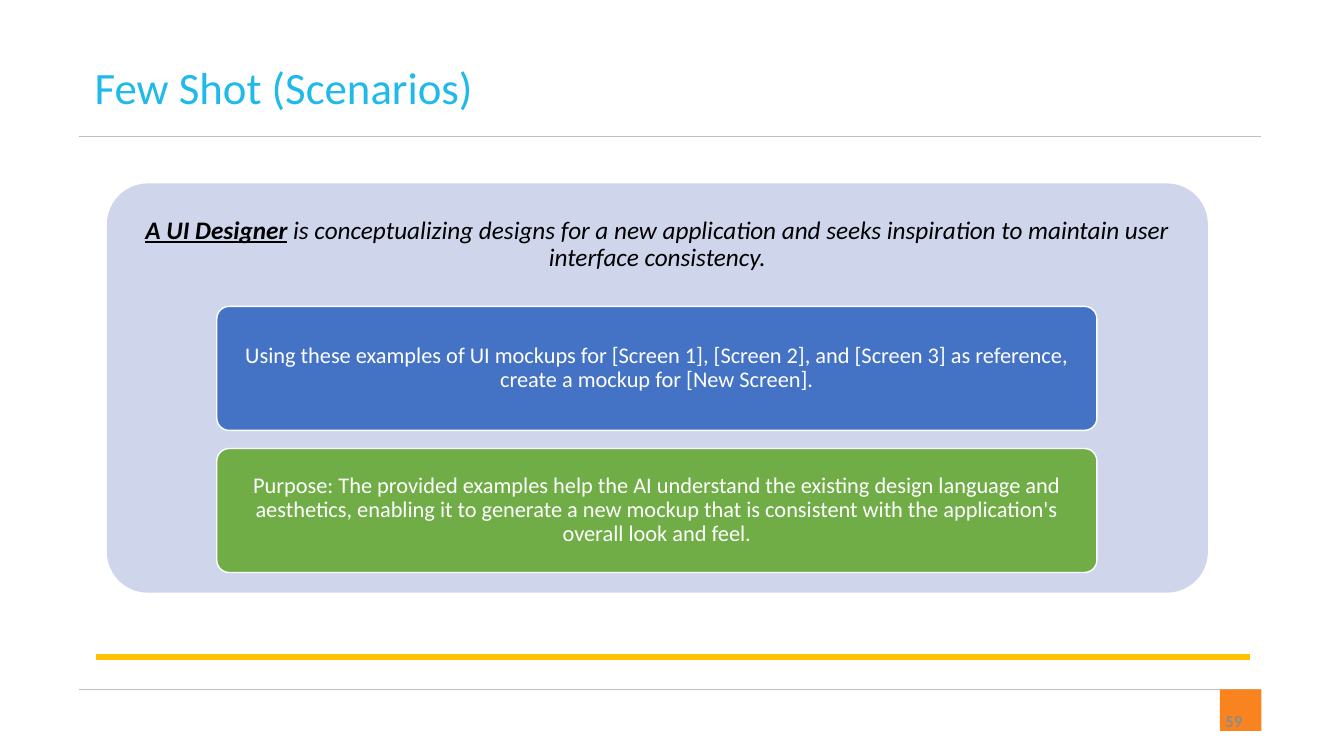
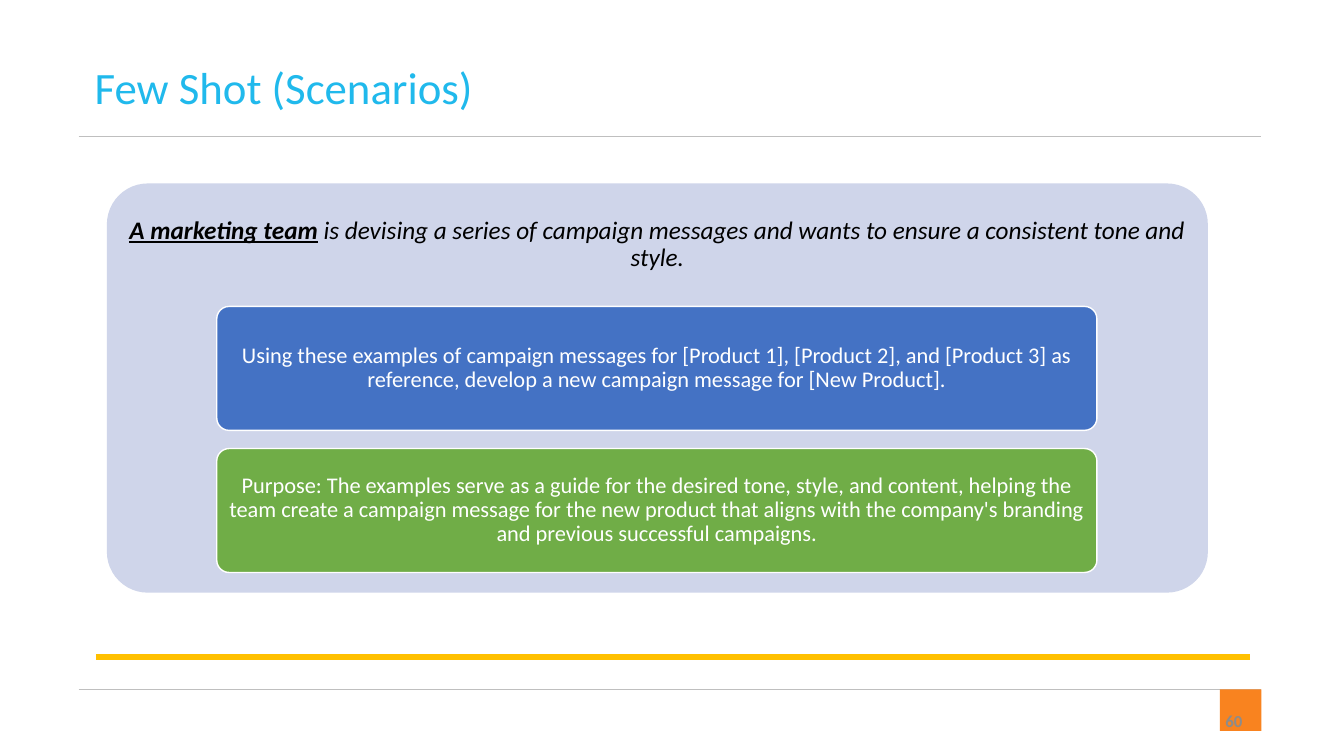
"""Build two few-shot scenario slides with a shared frame."""
import pptx
import pptx.util
import pptx.dml.color
import pptx.enum.shapes
import pptx.enum.text
import pptx.oxml.ns
import lxml.etree

Inches = pptx.util.Inches
Pt = pptx.util.Pt
SHAPE = pptx.enum.shapes.MSO_SHAPE
ALIGN = pptx.enum.text.PP_ALIGN
ANCHOR = pptx.enum.text.MSO_ANCHOR

FONT = "Calibri"
COLORS = {
    "title": "20B9EC",
    "rule": "BFBFBF",
    "accent": "FFC000",
    "badge": "F9831F",
    "number": "8C8C8C",
    "panel": "CFD5EA",
    "prompt": "4472C4",
    "purpose": "70AD47",
    "black": "000000",
    "white": "FFFFFF",
}
TITLE = "Few Shot (Scenarios)"
FIRST_NUMBER = 59
PANEL = (1.06, 1.82, 10.92, 4.06)
HEADING_H = 1.22
CARD_X, CARD_Y, CARD_W, CARD_H, CARD_PITCH = 2.15, 3.04, 8.73, 1.23, 1.41
SCENARIOS = [
    (
        "A UI Designer",
        " is conceptualizing designs for a new application and seeks inspiration "
        "to maintain user interface consistency.",
        "Using these examples of UI mockups for [Screen 1], [Screen 2], and [Screen 3] "
        "as reference, create a mockup for [New Screen].",
        "Purpose: The provided examples help the AI understand the existing design "
        "language and aesthetics, enabling it to generate a new mockup that is "
        "consistent with the application's overall look and feel.",
    ),
    (
        "A marketing team",
        " is devising a series of campaign messages and wants to ensure a consistent "
        "tone and style.",
        "Using these examples of campaign messages for [Product 1], [Product 2], and "
        "[Product 3] as reference, develop a new campaign message for [New Product].",
        "Purpose: The examples serve as a guide for the desired tone, style, and "
        "content, helping the team create a campaign message for the new product that "
        "aligns with the company's branding and previous successful campaigns.",
    ),
]


def rgb(name):
    return pptx.dml.color.RGBColor.from_string(COLORS[name])


def add_line(s, x1, x2, y, color, width):
    ln = s.shapes.add_connector(
        pptx.enum.shapes.MSO_CONNECTOR.STRAIGHT,
        Inches(x1), Inches(y), Inches(x2), Inches(y))
    ln.line.color.rgb = rgb(color)
    ln.line.width = Pt(width)
    sp_pr = ln._element.find(pptx.oxml.ns.qn("p:spPr"))
    lxml.etree.SubElement(sp_pr, pptx.oxml.ns.qn("a:effectLst"))


def add_box(s, kind, at, fill, line=None):
    sp = s.shapes.add_shape(kind, *map(Inches, at))
    sp.shadow.inherit = False
    sp.fill.solid()
    sp.fill.fore_color.rgb = rgb(fill)
    if line:
        sp.line.color.rgb = rgb(line)
        sp.line.width = Pt(1)
    else:
        sp.line.fill.background()
    if kind == SHAPE.ROUNDED_RECTANGLE:
        sp.adjustments[0] = 0.1
    return sp


def set_text(sp, runs, size, color, align=ALIGN.LEFT, anchor=ANCHOR.MIDDLE,
             insets=(0.1, 0.05), spacing=None):
    tf = sp.text_frame
    tf.word_wrap = True
    tf.vertical_anchor = anchor
    tf.margin_left = tf.margin_right = Inches(insets[0])
    tf.margin_top = tf.margin_bottom = Inches(insets[1])
    p = tf.paragraphs[0]
    p.alignment = align
    p.line_spacing = spacing
    for text, styles in runs:
        r = p.add_run()
        r.text = text
        r.font.name = FONT
        r.font.size = Pt(size)
        r.font.color.rgb = rgb(color)
        r.font.bold = "b" in styles
        r.font.italic = "i" in styles
        r.font.underline = "u" in styles


def add_text(s, at, *args, **kwargs):
    set_text(s.shapes.add_textbox(*map(Inches, at)), *args, **kwargs)


def add_frame(s, number):
    add_line(s, 0.78, 12.51, 6.84, "rule", 0.5)
    add_box(s, SHAPE.RECTANGLE, (12.1, 6.84, 0.41, 0.41), "badge")
    add_line(s, 0.78, 12.51, 1.35, "rule", 0.5)
    add_line(s, 0.95, 12.4, 6.52, "accent", 4.5)
    add_text(s, (9.42, 6.95, 3, 0.4), [(str(number), "b")], 12, "number",
             align=ALIGN.RIGHT)
    add_text(s, (0.84, 0.54, 11.97, 0.64), [(TITLE, "")], 32, "title",
             anchor=ANCHOR.TOP)


def add_scenario(s, who, situation, prompt, purpose):
    add_box(s, SHAPE.ROUNDED_RECTANGLE, PANEL, "panel")
    add_text(s, (*PANEL[:3], HEADING_H), [(who, "biu"), (situation, "i")], 18, "black",
             align=ALIGN.CENTER, insets=(0.07, 0.07), spacing=0.9)
    for i, (text, fill) in enumerate([(prompt, "prompt"), (purpose, "purpose")]):
        at = (CARD_X, CARD_Y + i * CARD_PITCH, CARD_W, CARD_H)
        card = add_box(s, SHAPE.ROUNDED_RECTANGLE, at, fill, "white")
        set_text(card, [(text, "")], 16, "white", align=ALIGN.CENTER,
                 insets=(0.04, 0.03), spacing=0.9)


def main():
    prs = pptx.Presentation()
    prs.slide_width = Inches(13.33)
    prs.slide_height = Inches(7.5)
    for number, scenario in enumerate(SCENARIOS, FIRST_NUMBER):
        s = prs.slides.add_slide(prs.slide_layouts[6])
        add_frame(s, number)
        add_scenario(s, *scenario)
    prs.save("out.pptx")


if __name__ == "__main__":
    main()
